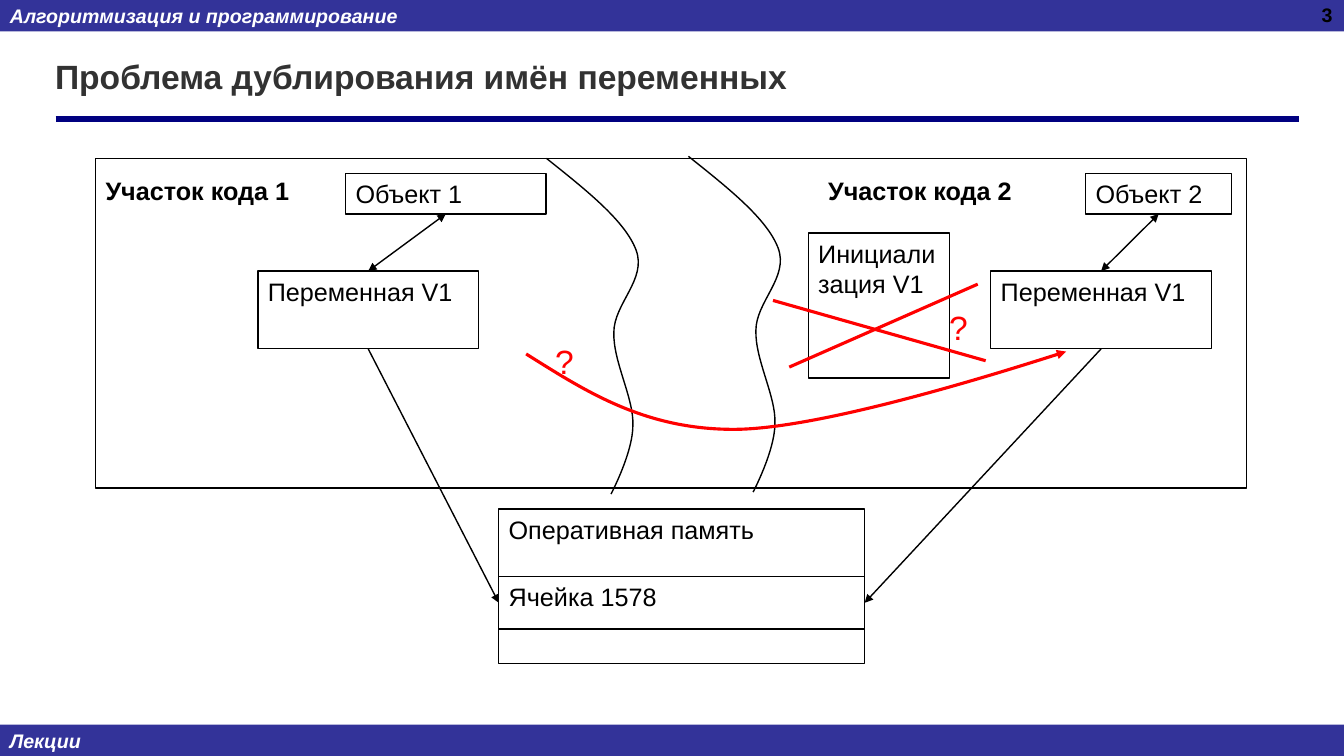
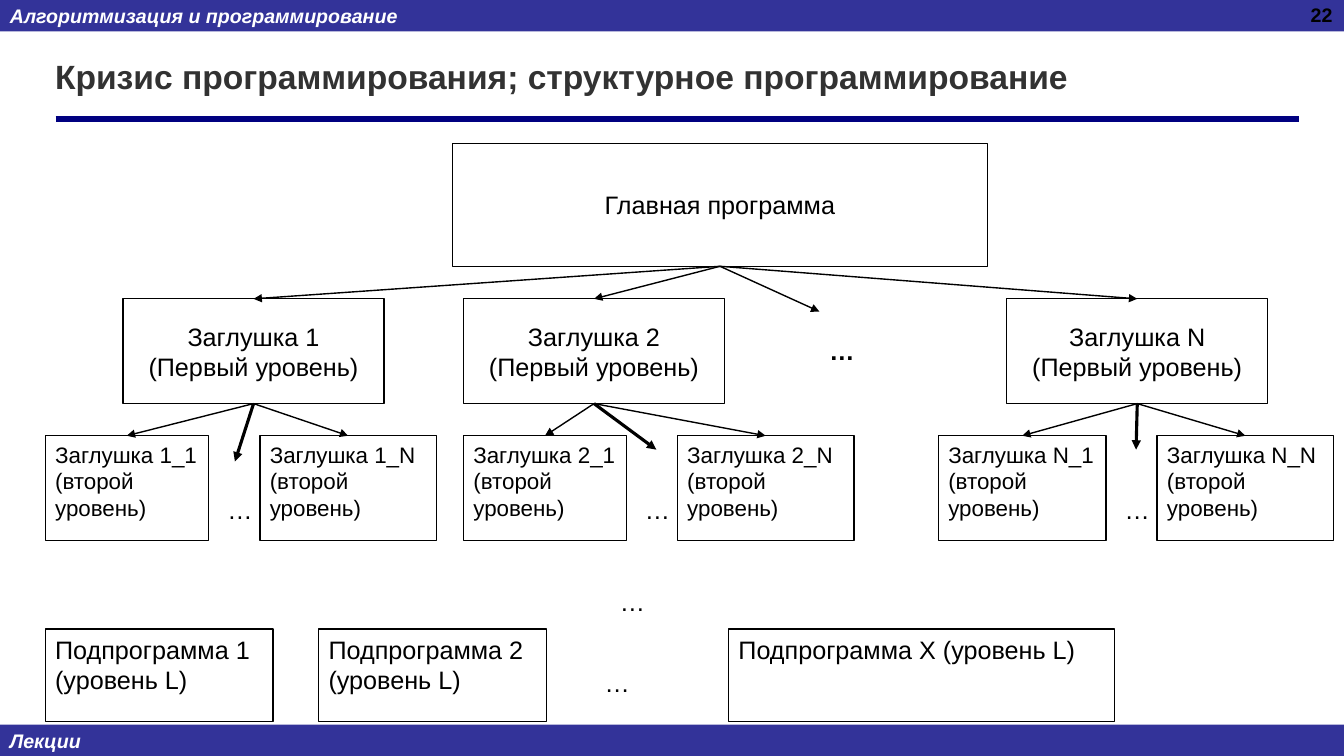
"""Build two lecture slides: duplicated variable names and structured programming."""
from lxml.etree import SubElement
from pptx import Presentation
from pptx.dml.color import RGBColor
from pptx.enum.shapes import MSO_CONNECTOR as Link, MSO_SHAPE as Preset
from pptx.enum.text import MSO_ANCHOR as Anchor, PP_ALIGN as Align
from pptx.oxml.ns import qn
from pptx.util import Cm, Pt

WIDTH, HEIGHT, BAND = 33.87, 19.05, 0.79
FONT, BLACK, WHITE, RED = "Arial", "000000", "FFFFFF", "FF0000"
BAND_FILL, RULE, TITLE = "333399", "000080", "323232"
THIN, THICK = 1, 2.25
TOP, LEFT, BOTTOM, RIGHT = range(4)
BANDS = [("Алгоритмизация и программирование", 0), ("Лекции", HEIGHT - BAND)]

NAMES_TITLE = ("Проблема дублирования имён переменных", 3)
NAMES_BOXES = {
    "frame": ("", 2.41, 3.99, 29.01, 8.31),
    "object 1": ("Объект 1", 8.71, 4.37, 5.05, 1.02),
    "object 2": ("Объект 2", 27.36, 4.37, 3.68, 1.02),
    "variable 1": ("Переменная V1", 6.5, 6.83, 5.56, 1.96),
    "variable 2": ("Переменная V1", 24.97, 6.83, 5.56, 1.96),
    "setup": ("Инициализация V1", 20.37, 5.87, 3.56, 3.66),
    "memory": ("Оперативная память", 12.57, 12.83, 9.22, 3.89),
    "cell": ("Ячейка 1578", 12.57, 14.53, 9.22, 1.32),
}
NAMES_LINKS = [
    ("object 1", BOTTOM, "variable 1", TOP, True),
    ("object 2", BOTTOM, "variable 2", TOP, True),
    ("variable 1", BOTTOM, "cell", LEFT, False),
    ("variable 2", BOTTOM, "cell", RIGHT, False),
]
SECTIONS = [("Участок кода 1", 2.41), ("Участок кода 2", 20.62)]
QUESTIONS = [(13.74, 8.46), (23.67, 7.62)]
CROSS = [((19.48, 7.57), (24.84, 9.09)), ((24.64, 7.16), (19.89, 9.25))]
WAVE_STARTS = [(13.77, 3.99), (17.35, 3.94)]
WAVE = [(0, 0), (0.99, 0.79), (1.98, 1.57), (2.26, 2.31), (2.54, 3.05),
        (1.7, 3.66), (1.7, 4.39), (1.68, 5.13), (2.21, 6.05), (2.18, 6.73),
        (2.18, 7.42), (1.63, 8.46), (1.63, 8.46)]
JUMP = [(13.26, 8.92), (14.76, 9.86), (16.23, 10.82), (18.49, 10.82),
        (20.78, 10.82), (26.87, 8.86), (26.87, 8.86)]

TREE_TITLE = ("Кризис программирования; структурное программирование", 22)
MAIN = ("Главная программа", 11.4, 3.61, 13.49, 3.1)
STUBS = [
    ("1", 3.1, (1.14, 4.11), (6.55, 4.45), (5.92, 11.63)),
    ("2", 11.68, (11.68, 4.11), (17.07, 4.45), (16.54, 11.33)),
    ("N", 25.37, (23.65, 4.22), (29.16, 4.45), (28.63, 11.33)),
]
STUB_TOP, CHILD_TOP, STUB_WIDTH, STUB_HEIGHT = 7.53, 10.98, 6.58, 2.64
MORE_STUBS = (20.65, 7.85)
ROUTINES = [("1", 1.14, 5.74), ("2", 8.03, 5.74), ("X", 18.36, 9.73)]
ROUTINE_TOP, ROUTINE_HEIGHT = 15.85, 2.34
DOTS = [(15.37, 14.66), (14.99, 16.69)]
DOTS_WIDTH, LABEL_HEIGHT = 1.07, 1.02


def color(value):
    return RGBColor.from_string(value)


def write(shape, text, size=18, ink=BLACK, bold=False, italic=False,
          align=Align.LEFT, anchor=Anchor.TOP):
    frame = shape.text_frame
    frame.word_wrap, frame.vertical_anchor = True, anchor
    for index, line in enumerate(text.split("\n")):
        para = frame.add_paragraph() if index else frame.paragraphs[0]
        para.alignment = align
        span = para.add_run()
        span.text = line
        span.font.name, span.font.size = FONT, Pt(size)
        span.font.bold, span.font.italic = bold, italic
        span.font.color.rgb = color(ink)


def add_label(page, text, left, top, width, height=LABEL_HEIGHT, **style):
    label = page.shapes.add_textbox(Cm(left), Cm(top), Cm(width), Cm(height))
    write(label, text, **style)


def add_box(page, text, left, top, width, height, fill=None, **style):
    box = page.shapes.add_shape(Preset.RECTANGLE, Cm(left), Cm(top), Cm(width), Cm(height))
    box.shadow.inherit = False
    if fill:
        box.fill.solid()
        box.fill.fore_color.rgb = color(fill)
        box.line.fill.background()
    else:
        box.fill.background()
        draw_line(box, BLACK, THIN)
    if text:
        write(box, text, **style)
    return box


def draw_line(shape, ink, weight, ends=()):
    shape.line.color.rgb = color(ink)
    shape.line.width = Pt(weight)
    outline = shape.element.spPr.find(qn("a:ln"))
    for end in ends:
        SubElement(outline, qn(f"a:{end}"), type="triangle")


def add_line(page, start, finish, ink=BLACK, weight=THIN, ends=()):
    line = page.shapes.add_connector(Link.STRAIGHT, *map(Cm, (*start, *finish)))
    draw_line(line, ink, weight, ends)
    SubElement(line.element.spPr, qn("a:effectLst"))
    return line


def add_arrow(page, source, source_side, target, target_side=TOP, both=False, weight=THIN):
    """Join two boxes, or a box and a point, with an arrow."""
    point = target if isinstance(target, tuple) else (0, 0)
    ends = ("headEnd", "tailEnd") if both else ("tailEnd",)
    arrow = add_line(page, (0, 0), point, weight=weight, ends=ends)
    arrow.begin_connect(source, source_side)
    if target is not point:
        arrow.end_connect(target, target_side)


def add_curve(page, points, ink=BLACK, weight=THIN, ends=()):
    """Draw a chain of cubic curves from a start and triples of points."""
    corners = [(Cm(x), Cm(y)) for x, y in points]
    builder = page.shapes.build_freeform(*corners[0])
    builder.add_line_segments(corners[1:], close=False)
    curve = builder.convert_to_shape()
    outline = next(curve.element.iter(qn("a:path")))
    steps = outline.findall(qn("a:lnTo"))
    for first in range(0, len(steps), 3):
        bend = SubElement(outline, qn("a:cubicBezTo"))
        for step in steps[first:first + 3]:
            bend.append(step[0])
            outline.remove(step)
    curve.shadow.inherit = False
    curve.fill.background()
    draw_line(curve, ink, weight, ends)


def add_page(deck, title, number):
    page = deck.slides.add_slide(deck.slide_layouts[6])
    for text, top in BANDS:
        add_box(page, text, 0, top, WIDTH, BAND, fill=BAND_FILL, size=14, ink=WHITE,
                bold=True, italic=True, anchor=Anchor.MIDDLE)
    add_line(page, (1.4, 3), (32.74, 3), RULE, 4.5)
    add_label(page, title, 1.14, 0.84, 31.01, 2.16, size=24, ink=TITLE, bold=True,
              anchor=Anchor.MIDDLE)
    add_label(page, str(number), 25.93, -0.05, 7.9, 1.32, size=14, bold=True,
              align=Align.RIGHT)
    return page


def build_names(deck):
    page = add_page(deck, *NAMES_TITLE)
    boxes = {name: add_box(page, *values) for name, values in NAMES_BOXES.items()}
    for left, top in WAVE_STARTS:
        add_curve(page, [(left + x, top + y) for x, y in WAVE])
    for text, left in SECTIONS:
        add_label(page, text, left, 4.29, 7, bold=True)
    for source, side, target, target_side, both in NAMES_LINKS:
        add_arrow(page, boxes[source], side, boxes[target], target_side, both)
    for start, finish in CROSS:
        add_line(page, start, finish, RED, THICK)
    add_curve(page, JUMP, RED, THICK, ["tailEnd"])
    for left, top in QUESTIONS:
        add_label(page, "?", left, top, 1.2, 1.27, size=24, ink=RED)


def build_tree(deck):
    page = add_page(deck, *TREE_TITLE)
    centred = {"align": Align.CENTER, "anchor": Anchor.MIDDLE}
    main_box = add_box(page, *MAIN, **centred)
    for name, left, *children, more in STUBS:
        stub = add_box(page, f"Заглушка {name}\n(Первый уровень)", left, STUB_TOP,
                       STUB_WIDTH, STUB_HEIGHT, **centred)
        add_arrow(page, main_box, BOTTOM, stub)
        for suffix, (child_left, width) in zip("1N", children):
            child = add_box(page, f"Заглушка {name}_{suffix} (второй уровень)", child_left,
                            CHILD_TOP, width, STUB_HEIGHT, size=16)
            add_arrow(page, stub, BOTTOM, child)
        add_arrow(page, stub, BOTTOM, more, weight=THICK)
        add_label(page, "…", children[1][0] - DOTS_WIDTH, 12.32, DOTS_WIDTH)
    add_arrow(page, main_box, BOTTOM, MORE_STUBS)
    add_label(page, "…", MORE_STUBS[0], 8.33, 1.17, bold=True)
    for name, left, width in ROUTINES:
        add_box(page, f"Подпрограмма {name} (уровень L)", left, ROUTINE_TOP, width,
                ROUTINE_HEIGHT)
    for left, top in DOTS:
        add_label(page, "…", left, top, 2.64)


def main():
    deck = Presentation()
    deck.slide_width, deck.slide_height = Cm(WIDTH), Cm(HEIGHT)
    build_names(deck)
    build_tree(deck)
    deck.save("out.pptx")


if __name__ == "__main__":
    main()
